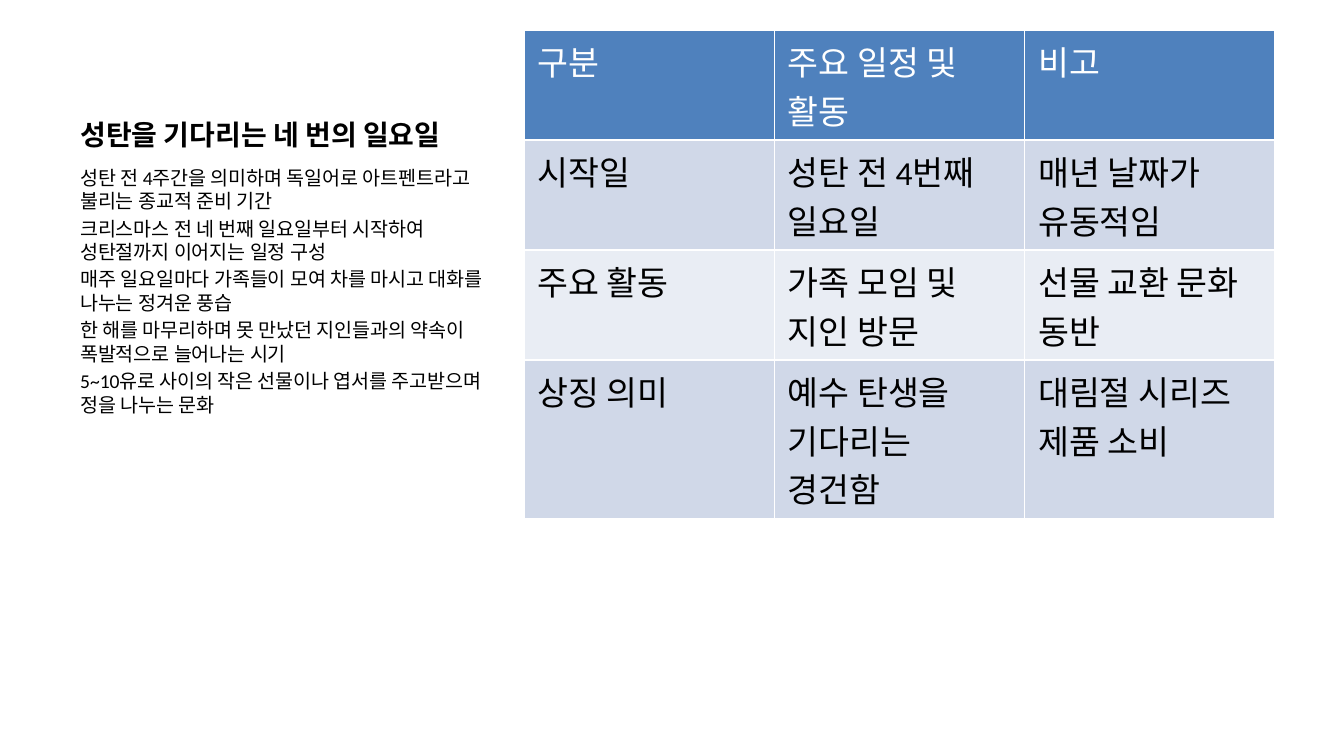
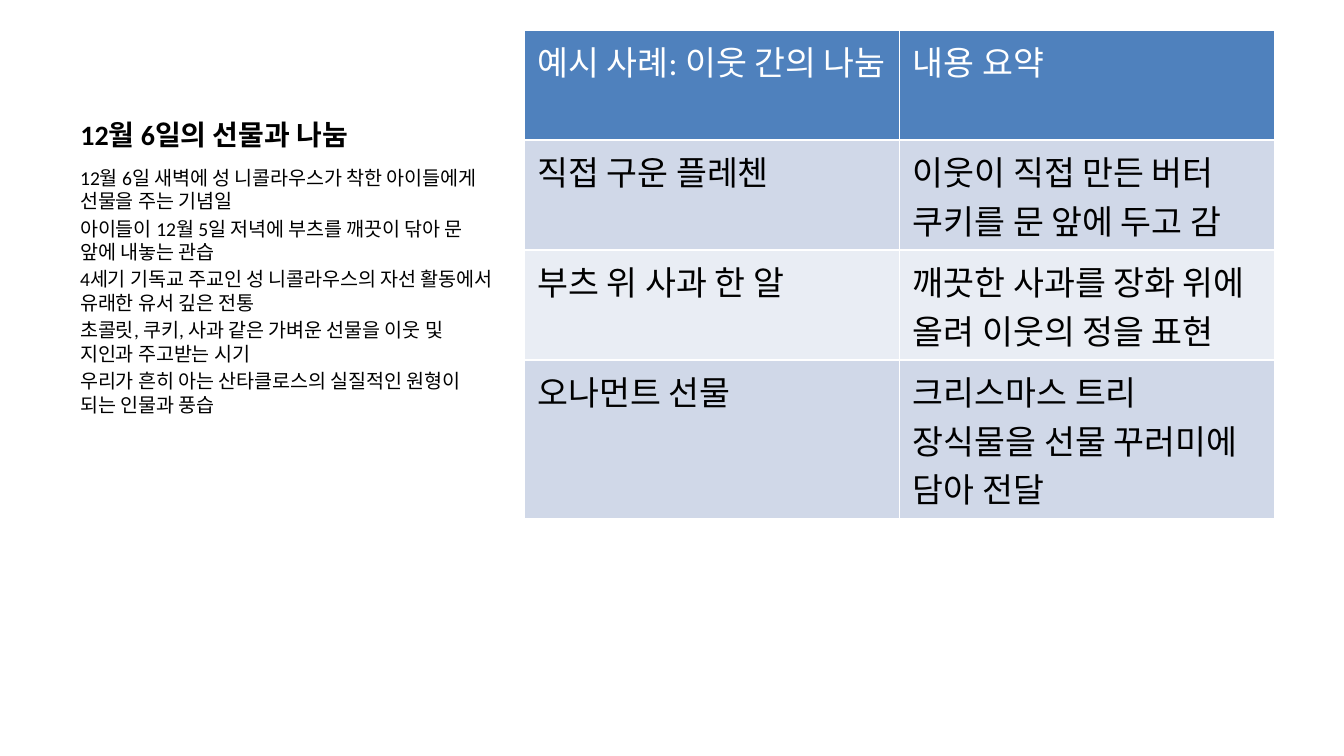
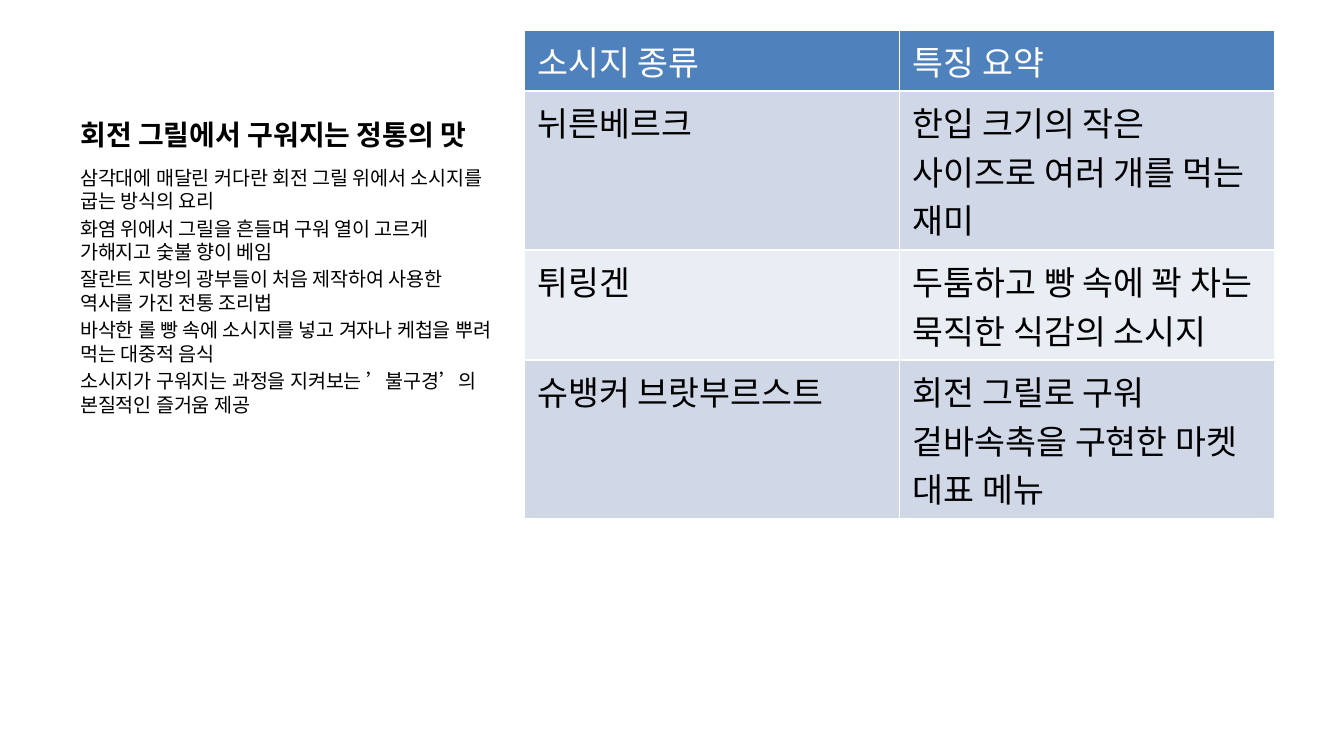
from dataclasses import dataclass

from pptx import Presentation
from pptx import util as u
from pptx.dml.color import RGBColor
from pptx.enum import text

SLIDES = [
    {
        "title": "성탄을 기다리는 네 번의 일요일",
        "points": [
            "성탄 전 4주간을 의미하며 독일어로 아트펜트라고 불리는 종교적 준비 기간",
            "크리스마스 전 네 번째 일요일부터 시작하여 성탄절까지 이어지는 일정 구성",
            "매주 일요일마다 가족들이 모여 차를 마시고 대화를 나누는 정겨운 풍습",
            "한 해를 마무리하며 못 만났던 지인들과의 약속이 폭발적으로 늘어나는 시기",
            "5~10유로 사이의 작은 선물이나 엽서를 주고받으며 정을 나누는 문화",
        ],
        "table": [
            ("구분", "주요 일정 및 활동", "비고"),
            ("시작일", "성탄 전 4번째 일요일", "매년 날짜가 유동적임"),
            ("주요 활동", "가족 모임 및 지인 방문", "선물 교환 문화 동반"),
            ("상징 의미", "예수 탄생을 기다리는 경건함", "대림절 시리즈 제품 소비"),
        ],
        "row_lines": (2, 2, 2, 3),
    },
    {
        "title": "12월 6일의 선물과 나눔",
        "points": [
            "12월 6일 새벽에 성 니콜라우스가 착한 아이들에게 선물을 주는 기념일",
            "아이들이 12월 5일 저녁에 부츠를 깨끗이 닦아 문 앞에 내놓는 관습",
            "4세기 기독교 주교인 성 니콜라우스의 자선 활동에서 유래한 유서 깊은 전통",
            "초콜릿, 쿠키, 사과 같은 가벼운 선물을 이웃 및 지인과 주고받는 시기",
            "우리가 흔히 아는 산타클로스의 실질적인 원형이 되는 인물과 풍습",
        ],
        "table": [
            ("예시 사례: 이웃 간의 나눔", "내용 요약"),
            ("직접 구운 플레첸", "이웃이 직접 만든 버터 쿠키를 문 앞에 두고 감"),
            ("부츠 위 사과 한 알", "깨끗한 사과를 장화 위에 올려 이웃의 정을 표현"),
            ("오나먼트 선물", "크리스마스 트리 장식물을 선물 꾸러미에 담아 전달"),
        ],
        "row_lines": (2, 2, 2, 3),
    },
    {
        "title": "회전 그릴에서 구워지는 정통의 맛",
        "points": [
            "삼각대에 매달린 커다란 회전 그릴 위에서 소시지를 굽는 방식의 요리",
            "화염 위에서 그릴을 흔들며 구워 열이 고르게 가해지고 숯불 향이 베임",
            "잘란트 지방의 광부들이 처음 제작하여 사용한 역사를 가진 전통 조리법",
            "바삭한 롤 빵 속에 소시지를 넣고 겨자나 케첩을 뿌려 먹는 대중적 음식",
            "소시지가 구워지는 과정을 지켜보는 ’불구경’의 본질적인 즐거움 제공",
        ],
        "table": [
            ("소시지 종류", "특징 요약"),
            ("뉘른베르크", "한입 크기의 작은 사이즈로 여러 개를 먹는 재미"),
            ("튀링겐", "두툼하고 빵 속에 꽉 차는 묵직한 식감의 소시지"),
            ("슈뱅커 브랏부르스트", "회전 그릴로 구워 겉바속촉을 구현한 마켓 대표 메뉴"),
        ],
        "row_lines": (1, 3, 2, 3),
    },
]


@dataclass(frozen=True)
class Theme:
    font: str = "Calibri"
    ink: str = "000000"
    header_ink: str = "FFFFFF"
    header_fill: str = "4F81BD"
    bands: tuple = ("E9EDF4", "D0D8E8")
    title_size: float = 15
    point_size: float = 10.5
    cell_size: float = 18
    point_gap: float = 2.1


THEME = Theme()
TITLE_ONLY = 5
SCALE = u.Inches(1) / 134.4
SLIDE_SIZE = (1344, 756)
TITLE_BOX = (67, 30, 442, 128)
POINTS_BOX = (67, 159, 442, 517)
TABLE_LEFT, TABLE_TOP, TABLE_WIDTH = 524, 30, 751
CELL_PADDING, CELL_LINE = 12, 49


def emu(lengths):
    return [round(length * SCALE) for length in lengths]


def style(paragraph, size, color=THEME.ink, bold=False):
    paragraph.font.name = THEME.font
    paragraph.font.size = u.Pt(size)
    paragraph.font.bold = bold
    paragraph.font.color.rgb = RGBColor.from_string(color)


def set_title(slide, title):
    shape = slide.shapes.title
    shape.left, shape.top, shape.width, shape.height = emu(TITLE_BOX)
    frame = shape.text_frame
    frame.text = title
    frame.word_wrap = True
    frame.vertical_anchor = text.MSO_ANCHOR.BOTTOM
    paragraph = frame.paragraphs[0]
    paragraph.alignment = text.PP_ALIGN.LEFT
    style(paragraph, THEME.title_size, bold=True)


def add_points(slide, points):
    frame = slide.shapes.add_textbox(*emu(POINTS_BOX)).text_frame
    frame.word_wrap = True
    frame.text = "\n".join(points)
    for paragraph in frame.paragraphs:
        paragraph.space_before = u.Pt(THEME.point_gap)
        style(paragraph, THEME.point_size)


def add_grid(slide, rows, row_lines):
    heights = [CELL_PADDING + CELL_LINE * lines for lines in row_lines]
    box = emu((TABLE_LEFT, TABLE_TOP, TABLE_WIDTH, sum(heights)))
    table = slide.shapes.add_table(len(rows), len(rows[0]), *box).table
    for row_index, (values, height) in enumerate(zip(rows, emu(heights))):
        table.rows[row_index].height = height
        is_header = row_index == 0
        fill = THEME.header_fill if is_header else THEME.bands[row_index % 2]
        ink = THEME.header_ink if is_header else THEME.ink
        for column_index, value in enumerate(values):
            cell = table.cell(row_index, column_index)
            cell.text = value
            cell.fill.solid()
            cell.fill.fore_color.rgb = RGBColor.from_string(fill)
            style(cell.text_frame.paragraphs[0], THEME.cell_size, ink)


def main():
    presentation = Presentation()
    presentation.slide_width, presentation.slide_height = emu(SLIDE_SIZE)
    layout = presentation.slide_layouts[TITLE_ONLY]
    for content in SLIDES:
        slide = presentation.slides.add_slide(layout)
        set_title(slide, content["title"])
        add_points(slide, content["points"])
        add_grid(slide, content["table"], content["row_lines"])
    presentation.save("out.pptx")


if __name__ == "__main__":
    main()
